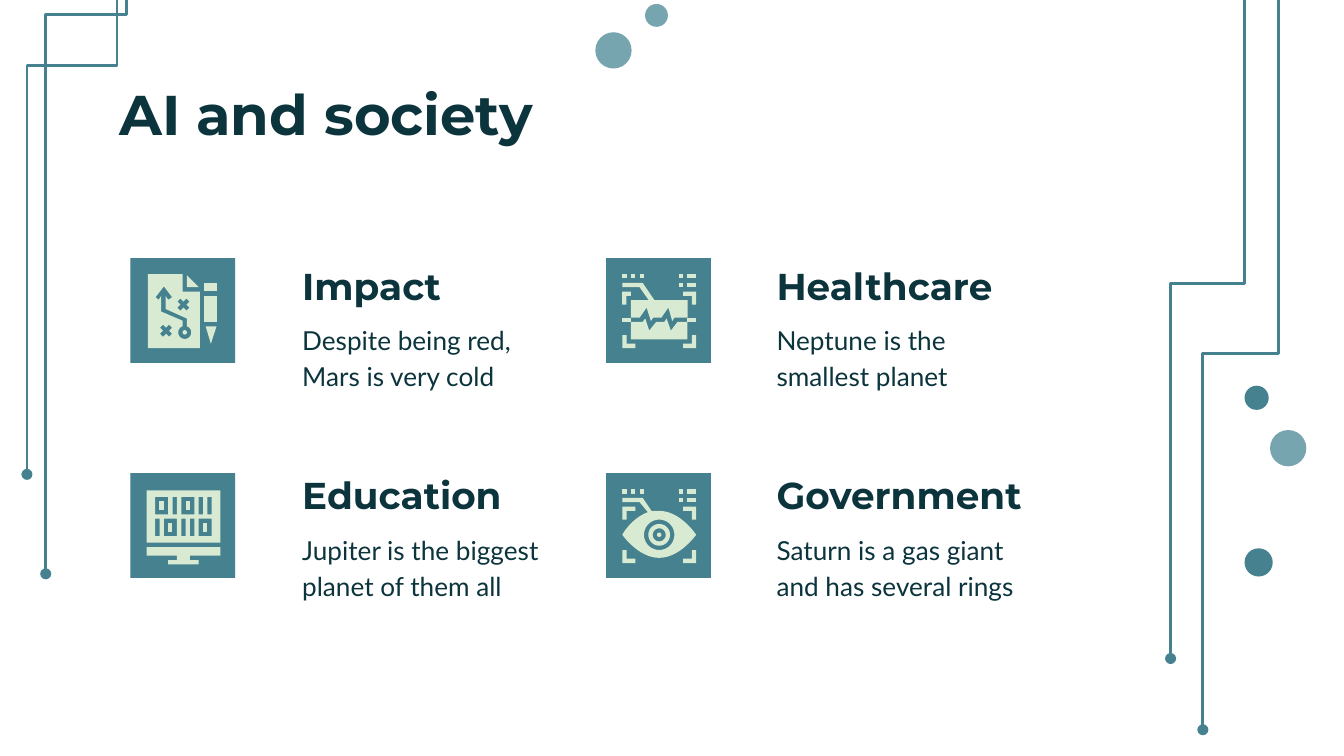
from dataclasses import dataclass
from math import cos, radians, sin

from lxml import etree
from pptx import Presentation, util as u
from pptx.dml.color import RGBColor
from pptx.enum import shapes as kinds, text as txt
from pptx.oxml.ns import qn


@dataclass(frozen=True)
class Theme:
    ink: str = "0C343D"
    teal: str = "45818E"
    mist: str = "76A5AF"
    mint: str = "D9EAD3"
    head: str = "Montserrat"
    body: str = "Lato"
    title: int = 30
    sub: int = 20
    small: int = 14
    line: float = 1.5


T = Theme()
WIDE = 10
HIGH = WIDE * 9 / 16
LEFT, TOP = 0.97, 1.92
COL, ROW = 3.54, 1.6
TILE = 0.78
UNIT = 0.55 / 17

TOPICS = [
    ("Impact", "Despite being red, Mars is very cold"),
    ("Healthcare", "Neptune is the smallest planet"),
    ("Education", "Jupiter is the biggest planet of them all"),
    ("Government", "Saturn is a gas giant and has several rings"),
]
WIRES = [
    (0.94, -0.86, 0.34, 4.27, 0.11),
    (0.87, -1, 0.2, 3.53, 0.49),
    (9.51, -0.17, 8.95, 5.43, 2.63),
    (9.26, -0.69, 8.71, 4.9, 2.11),
]
DOTS = [
    (4.43, 0.24, 0.27, T.mist),
    (9.26, 4.08, 0.21, T.teal),
    (9.45, 3.2, 0.27, T.mist),
    (4.8, 0.03, 0.17, T.mist),
    (9.26, 2.87, 0.18, T.teal),
]


def paint(shape, color):
    shape.shadow.inherit = False
    shape.fill.solid()
    shape.fill.fore_color.rgb = RGBColor.from_string(color)
    shape.line.fill.background()


def block(host, kind, x, y, w, h, color):
    shape = host.add_shape(kind, *map(u.Inches, (x, y, w, h)))
    paint(shape, color)


def label(slide, words, x, y, w, h, size=T.small, font=T.body,
          bold=False, space=1.15, anchor=txt.MSO_ANCHOR.TOP):
    frame = slide.shapes.add_textbox(*map(u.Inches, (x, y, w, h))).text_frame
    frame.word_wrap = True
    frame.vertical_anchor = anchor
    frame.margin_left = frame.margin_right = u.Inches(0.1)
    frame.margin_top = frame.margin_bottom = u.Inches(0.1)
    para = frame.paragraphs[0]
    para.line_spacing = space
    run = para.add_run()
    run.text = words
    run.font.size = u.Pt(size)
    run.font.name = font
    run.font.bold = bold
    run.font.color.rgb = RGBColor.from_string(T.ink)


def wire(slide, x1, y1, x2, y2, knee):
    mx, my = (x1 + x2) / 2, (y1 + y2) / 2
    dx, dy = (x1 - x2) / 2, (y2 - y1) / 2
    ends = map(u.Inches, (mx - dy, my - dx, mx + dy, my + dx))
    link = slide.shapes.add_connector(kinds.MSO_CONNECTOR.ELBOW, *ends)
    link.line.color.rgb = RGBColor.from_string(T.teal)
    link.line.width = u.Pt(T.line)
    props = link._element.spPr
    props.find(qn("a:xfrm")).set("rot", "5400000")
    geom = props.find(qn("a:prstGeom"))
    share = round((knee - y1) / (y2 - y1) * 100000)
    etree.SubElement(geom.find(qn("a:avLst")), qn("a:gd"),
                     name="adj1", fmla=f"val {share}")
    etree.SubElement(props.find(qn("a:ln")), qn("a:tailEnd"), type="oval")
    etree.SubElement(props, qn("a:effectLst"))


def arc(x, y, r, start=0, stop=360, steps=36):
    turns = [radians(start + (stop - start) * i / steps) for i in range(steps + 1)]
    return [(x + r * cos(a), y + r * sin(a)) for a in turns]


def curve(a, b, c, d, steps=12):
    def at(t):
        s = 1 - t
        return tuple(s**3 * p + 3 * s * s * t * q + 3 * s * t * t * v + t**3 * w
                     for p, q, v, w in zip(a, b, c, d))
    return [at(i / steps) for i in range(steps + 1)]


def rect(x, y, w, h):
    return [(x, y), (x, y + h), (x + w, y + h), (x + w, y)]


def form(host, x, y, *loops):
    scaled = [[(u.Inches(x + px * UNIT), u.Inches(y + py * UNIT)) for px, py in loop]
              for loop in loops]
    pen = host.build_freeform(*scaled[0][0])
    for i, loop in enumerate(scaled):
        if i:
            pen.move_to(*loop[0])
        pen.add_line_segments(loop[1:], close=True)
    paint(pen.convert_to_shape(), T.mint)


def cross(x, y, r=0.7):
    quad = [(1, -2), (2, -1), (1, 0), (2, 1), (1, 2), (0, 1)]
    return [(x + s * r * px, y + s * r * py) for s in (1, -1) for px, py in quad]


def plan():
    page = [(0, 0), (0, 17), (12, 17), (12, 4), (8, 4), (8, 0)]
    route = [(3.7, 2.8), (5.6, 5.3), (4.7, 5.9), (4.1, 5), (4.1, 8), (9, 10.2),
             *arc(8.5, 13.4, 1.5, -70, 250), (8, 10.7), (3.1, 8.6), (3.1, 5),
             (2.5, 5.9), (1.8, 5.3)]
    return [[rect(13, 2, 3, 2)], [[(13.3, 12), (14.5, 16), (15.8, 12)]],
            [arc(8.5, 13.4, 0.5)], [page, route, cross(8.2, 7), cross(4.2, 13)],
            [[(9, 0.3), (9, 3), (11.7, 3)]], [rect(13, 5, 3, 6)]]


def frame(arm):
    parts = []
    for right in (True, False):
        for low in (False, True):
            w = 3 if right or low else arm
            edge = [(0, 4), (0, 7), (1, 7), (1, 5), (w, 5), (w, 4)]
            parts.append([(17 - x if right else x, 21 - y if low else y) for x, y in edge])
    parts += [rect(x, 0, 1, 1) for x in (0, 2, 4, 13)]
    parts += [rect(13, 2, 1, 1), rect(15, 0, 2, 1), rect(15, 2, 2, 1)]
    return [[part] for part in parts]


def pulse():
    upper = [(0, 2), (0, 3), (4, 3), (6.1, 6), (2, 6), (2, 10), (4, 10), (5.6, 7.7),
             (6.6, 10.8), (7.1, 10), (9, 10), (10.6, 7.7), (11.5, 10.8), (12, 10),
             (15, 10), (15, 6), (7.4, 6), (4.7, 2)]
    lower = [(5.3, 10.2), (4.7, 11), (2, 11), (2, 15), (15, 15), (15, 11), (12.7, 11),
             (11.2, 13), (10.2, 10.2), (9.7, 11), (7.8, 11), (6.2, 13)]
    return [[upper], [lower], *frame(2), [rect(0, 10, 2, 1)], [rect(15, 10, 2, 1)]]


def screen():
    holes, cores = [], []
    for y, bits in ((1.5, "01011"), (6.5, "10110")):
        x = 2
        for bit in bits:
            w = 3 if bit == "0" else 1
            holes.append(rect(x, y, w, 4))
            if bit == "0":
                cores.append([rect(x + 1, y + 1, 1, 2)])
            x += w + 1
    half = [(0, 13), (0, 15), (7, 15), (7, 16), (5, 16), (5, 17)]
    stand = half + [(17 - x, y) for x, y in reversed(half)]
    return [*cores, [rect(0, 0, 17, 12), *holes], [stand]]


def eye():
    lid = [(0, 2), (0, 3), (4, 3),
           *curve((5.9, 5.3), (3.4, 6.2), (1.2, 8.4), (0, 10.5)),
           *curve((0, 10.5), (1.9, 13), (5, 15.8), (8.5, 15.8)),
           *curve((8.5, 15.8), (12, 15.8), (15.1, 13), (17, 10.5)),
           *curve((17, 10.5), (15.1, 7.8), (12, 5), (8.5, 5)),
           *curve((8.5, 5), (7.9, 5), (7.4, 5), (6.8, 5.1)), (4.7, 2)]
    rings = [arc(8.5, 10.5, r) for r in (0.5, 1.5, 2.5, 3.5)]
    return [rings[:1], rings[1:3], [lid, rings[3]], *frame(3)]


def icon(slide, x, y, parts):
    group = slide.shapes.add_group_shape().shapes
    for loops in parts:
        form(group, x, y, *loops)


def topic(slide, i, head, body, parts, inset):
    row, col = divmod(i, 2)
    x, y = LEFT + col * COL, TOP + row * ROW
    block(slide.shapes, kinds.MSO_SHAPE.RECTANGLE, x, y, TILE, TILE, T.teal)
    icon(slide, x + inset[0], y + inset[1], parts)
    left, top = 2.15 + col * 3.53, 1.95 + row * 1.56
    label(slide, body, left, top + 0.33, 2.16, 0.73)
    label(slide, head, left, top, 2.16, 0.44, size=T.sub, font=T.head,
          bold=True, anchor=txt.MSO_ANCHOR.BOTTOM)


def main():
    deck = Presentation()
    deck.slide_width, deck.slide_height = u.Inches(WIDE), u.Inches(HIGH)
    slide = deck.slides.add_slide(deck.slide_layouts[6])
    for ends in WIRES:
        wire(slide, *ends)
    for x, y, size, color in DOTS:
        block(slide.shapes, kinds.MSO_SHAPE.OVAL, x, y, size, size, color)
    label(slide, "AI and society", 0.79, 0.49, 8.43, 0.63, size=T.title,
          font=T.head, bold=True, space=1.0)
    icons = [plan(), pulse(), screen(), eye()]
    insets = [(0.13, 0.12), (0.12, 0.12), (0.12, 0.13), (0.12, 0.12)]
    for i, (words, parts, inset) in enumerate(zip(TOPICS, icons, insets)):
        topic(slide, i, *words, parts, inset)
    deck.save("out.pptx")


if __name__ == "__main__":
    main()
